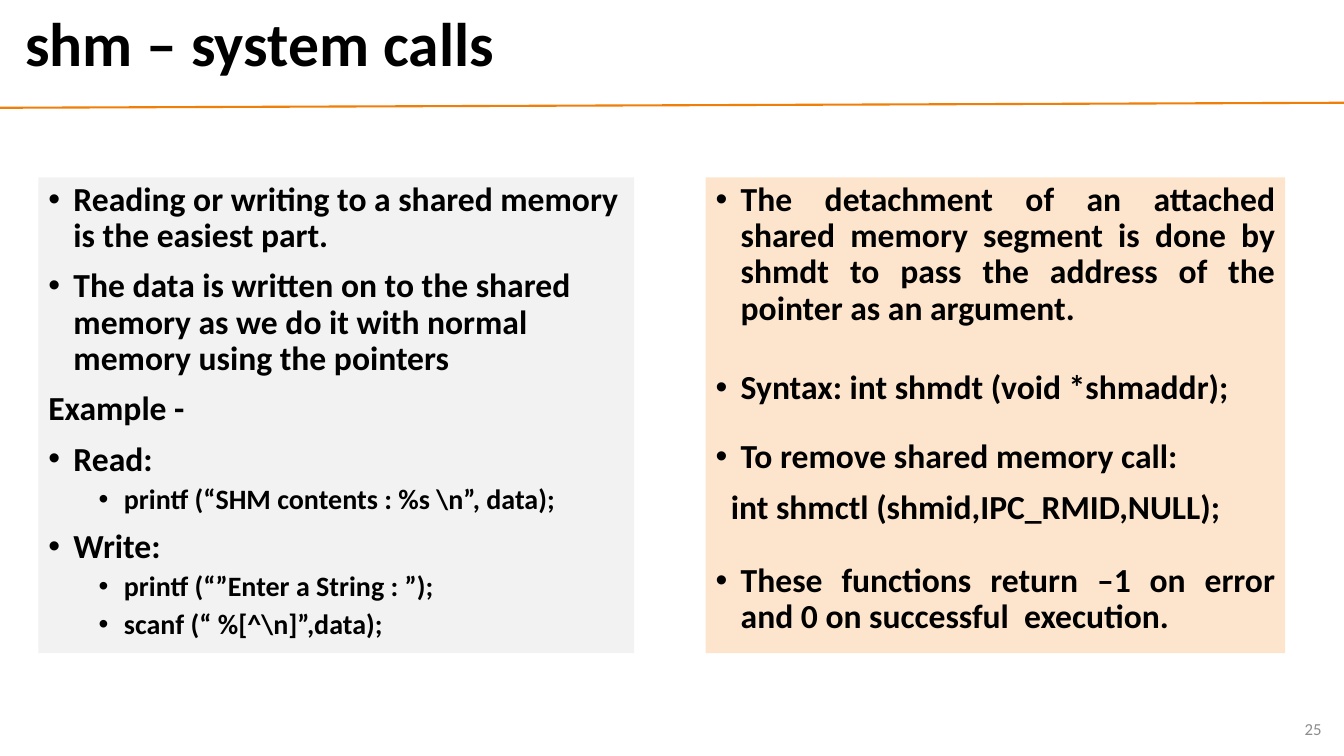
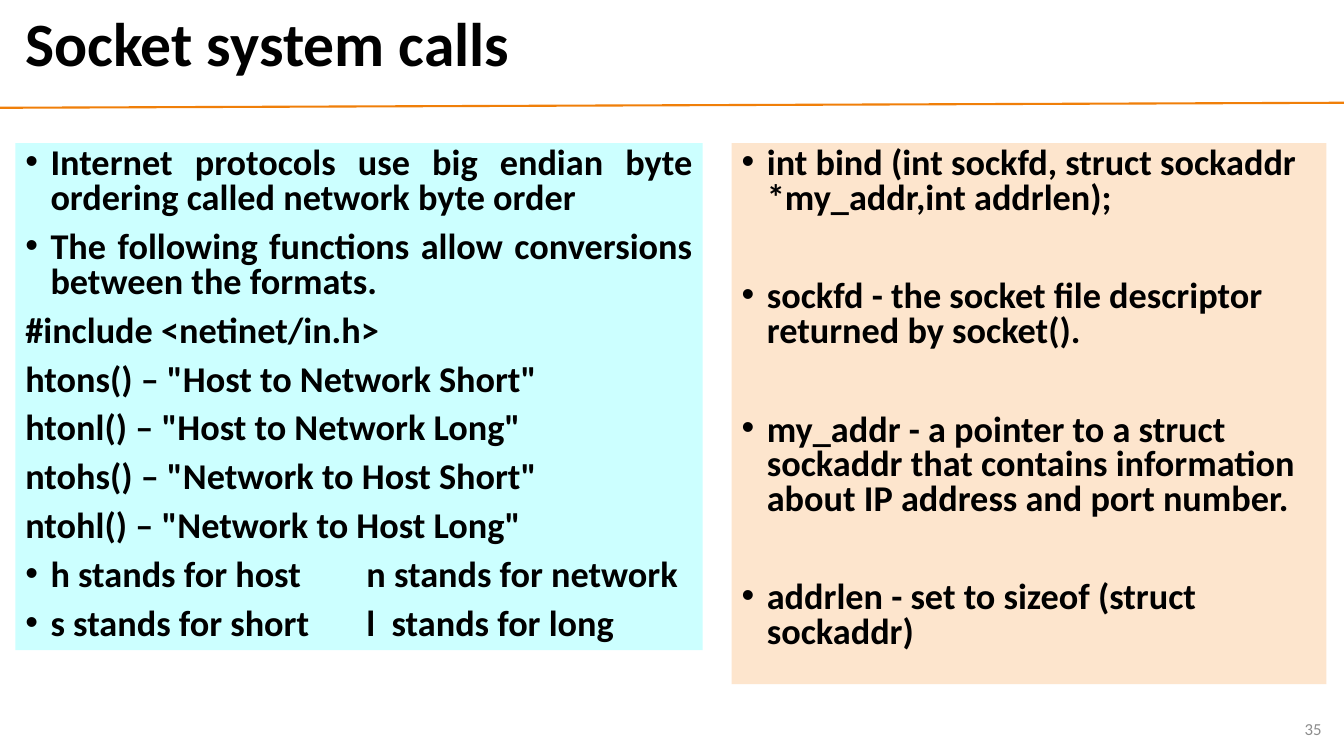
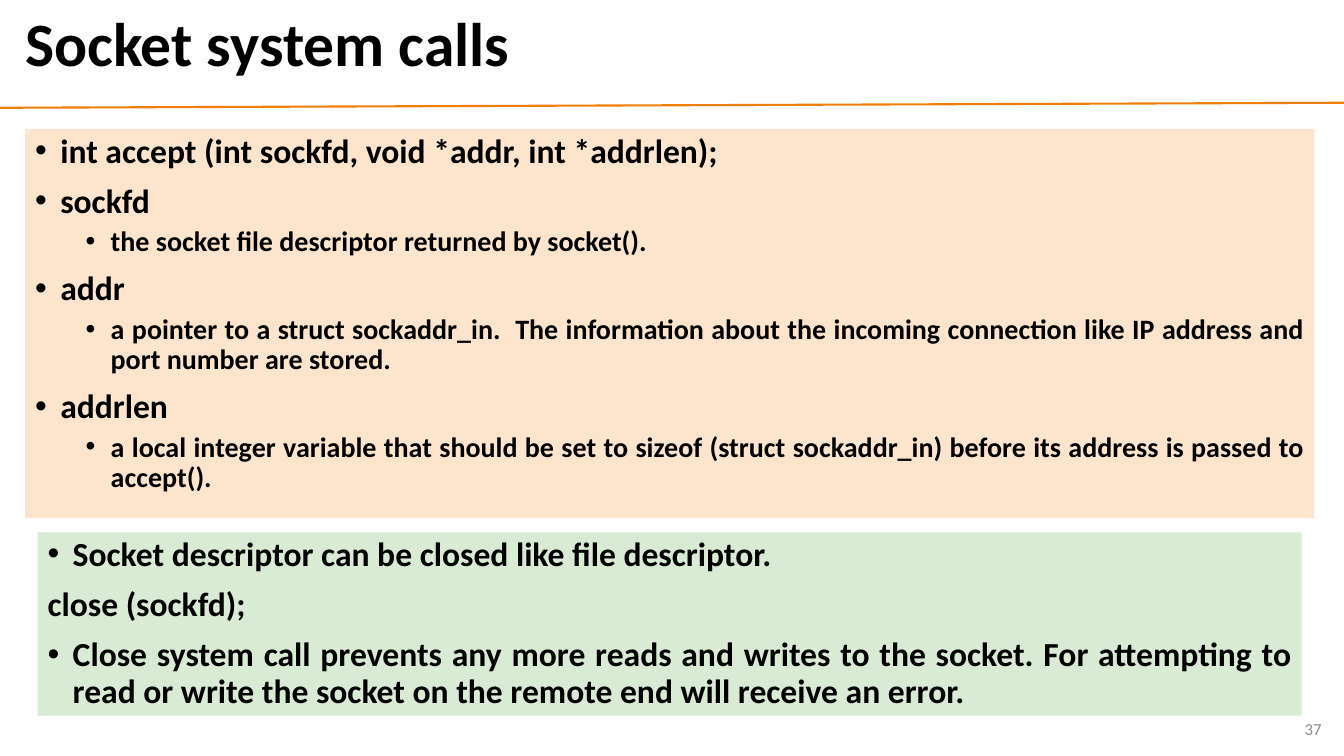
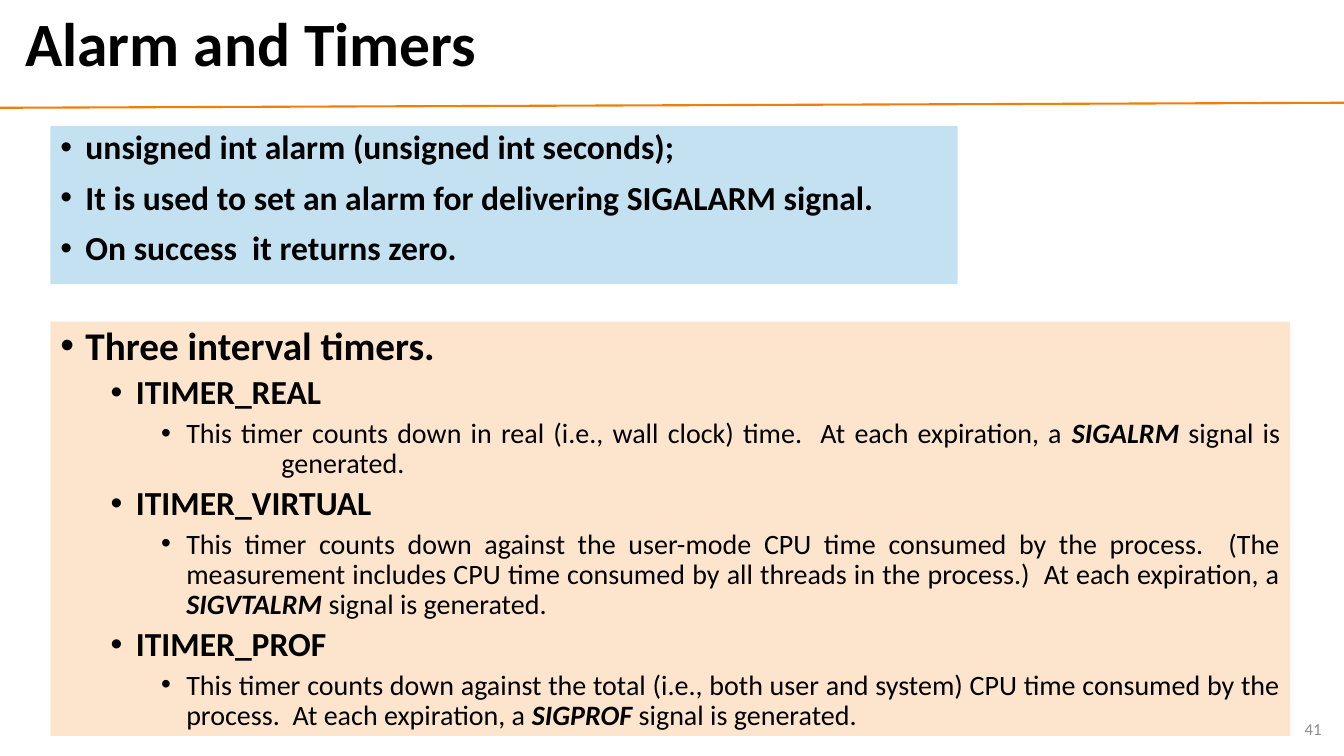
from dataclasses import dataclass

from lxml.etree import SubElement
from pptx import Presentation
from pptx.dml.color import RGBColor
from pptx.enum.shapes import MSO_CONNECTOR, MSO_SHAPE
from pptx.enum.text import MSO_ANCHOR, MSO_AUTO_SIZE, PP_ALIGN
from pptx.oxml.ns import qn
from pptx.util import Pt


@dataclass(frozen=True)
class Theme:
    font: str = "Calibri"
    text: str = "000000"
    rule: str = "F07F09"
    number: str = "8C8C8C"
    grey: str = "F2F2F2"
    peach: str = "FDE5CD"
    cyan: str = "CCFFFF"
    green: str = "D9EAD5"
    blue: str = "C4E1F2"
    title_size: float = 44
    number_size: float = 12
    body_sizes: tuple = (24, 20)
    socket_sizes: tuple = (25.9,)
    timer_sizes: tuple = (28, 24, 20)


theme = Theme()
LEFT, JUSTIFY = PP_ALIGN.LEFT, PP_ALIGN.JUSTIFY
PLAIN = None  # paragraph without a bullet

# Paragraphs are (bullet level, text, options); text between bars is emphasised
slides = [
    {"title": "shm – system calls", "number": "25", "panels": [
        {"box": (27.4, 126.7, 425.5, 339.8), "fill": theme.grey, "align": LEFT,
         "sizes": theme.body_sizes, "spacing": 0.9, "paragraphs": [
             (0, "Reading or writing to a shared memory is the easiest part."),
             (0, "The data is written on to the shared memory as we do it with "
                 "normal memory using the pointers"),
             (PLAIN, "Example -"),
             (0, "Read:"),
             (1, "printf (“SHM contents : %s \\n”, data);"),
             (0, "Write:"),
             (1, "printf (“”Enter a String : ”);"),
             (1, "scanf (“ %[^\\n]”,data);"),
         ]},
        {"box": (504, 126.7, 414, 339.8), "fill": theme.peach, "align": JUSTIFY,
         "sizes": theme.body_sizes, "spacing": 0.9, "paragraphs": [
             (0, "The detachment of an attached shared memory segment is done by "
                 "shmdt to pass the address of the pointer as an argument."),
             (0, "Syntax: int shmdt (void *shmaddr);", {"gap": 31}),
             (0, "To remove shared memory call:", {"gap": 23.3}),
             (PLAIN, "int shmctl (shmid,IPC_RMID,NULL);", {"margin": 11}),
             (0, "These functions return –1 on error and 0 on successful  execution.",
              {"gap": 26.6}),
         ]},
    ]},
    {"title": "Socket system calls", "number": "35", "panels": [
        {"box": (11, 102.2, 491, 362.2), "fill": theme.cyan, "align": JUSTIFY,
         "sizes": theme.socket_sizes, "spacing": 0.8, "paragraphs": [
             (0, "Internet protocols use big endian byte ordering called network byte order"),
             (0, "The following functions allow conversions between the formats."),
             (PLAIN, "#include <netinet/in.h>"),
             (PLAIN, 'htons() – "Host to Network Short"'),
             (PLAIN, 'htonl() – "Host to Network Long"'),
             (PLAIN, 'ntohs() – "Network to Host Short"'),
             (PLAIN, 'ntohl() – "Network to Host Long"'),
             (0, "h stands for host\tn stands for network", {"tab": 243.6}),
             (0, "s stands for short\tl  stands for long", {"tab": 243.6}),
         ]},
        {"box": (522.7, 102.2, 424.8, 386.6), "fill": theme.peach, "align": LEFT,
         "sizes": theme.socket_sizes, "spacing": 0.8, "paragraphs": [
             (0, "int bind (int sockfd, struct sockaddr *my_addr,int addrlen);"),
             (0, "sockfd - the socket file descriptor returned by socket().", {"gap": 45.3}),
             (0, "my_addr - a pointer to a struct sockaddr that contains information "
                 "about IP address and port number.", {"gap": 45.3}),
             (0, "addrlen - set to sizeof (struct sockaddr)", {"gap": 45.3}),
         ]},
    ]},
    {"title": "Socket system calls", "number": "37", "panels": [
        {"box": (18, 92.2, 920.9, 277.9), "fill": theme.peach, "align": JUSTIFY,
         "sizes": theme.body_sizes, "spacing": 0.9, "paragraphs": [
             (0, "int accept (int sockfd, void *addr, int *addrlen);"),
             (0, "sockfd"),
             (1, "the socket file descriptor returned by socket()."),
             (0, "addr"),
             (1, "a pointer to a struct sockaddr_in.  The information about the incoming "
                 "connection like IP address and port number are stored."),
             (0, "addrlen"),
             (1, "a local integer variable that should be set to sizeof (struct "
                 "sockaddr_in) before its address is passed to accept()."),
         ]},
        {"box": (26.9, 380.2, 902.9, 131), "fill": theme.green, "align": JUSTIFY,
         "sizes": theme.body_sizes, "spacing": 0.9, "paragraphs": [
             (0, "Socket descriptor can be closed like file descriptor."),
             (PLAIN, "close (sockfd);"),
             (0, "Close system call prevents any more reads and writes to the socket. For "
                 "attempting to read or write the socket on the remote end will receive "
                 "an error."),
         ]},
    ]},
    {"title": "Alarm and Timers", "number": "41", "panels": [
        {"box": (36, 90, 648, 113), "fill": theme.blue, "align": JUSTIFY,
         "sizes": theme.body_sizes, "spacing": 0.9, "paragraphs": [
             (0, "unsigned int alarm (unsigned int seconds);"),
             (0, "It is used to set an alarm for delivering SIGALARM signal."),
             (0, "On success  it returns zero."),
         ]},
        {"box": (36, 229.7, 885.6, 295.9), "fill": theme.peach, "align": JUSTIFY,
         "sizes": theme.timer_sizes, "spacing": 0.9, "paragraphs": [
             (0, "Three interval timers."),
             (1, "ITIMER_REAL"),
             (2, "This timer counts down in real (i.e., wall clock) time.  At each "
                 "expiration, a |SIGALRM| signal is\n\tgenerated.", {"tab": 158}),
             (1, "ITIMER_VIRTUAL"),
             (2, "This timer counts down against the user-mode CPU time consumed by the "
                 "process.  (The measurement includes CPU time consumed by all threads in "
                 "the process.)  At each expiration, a |SIGVTALRM| signal is generated."),
             (1, "ITIMER_PROF"),
             (2, "This timer counts down against the total (i.e., both user and system) "
                 "CPU time consumed by the process.  At each expiration, a |SIGPROF| "
                 "signal is generated."),
         ]},
    ]},
]


def add_text(paragraph, text, color, **font_values):
    """Add one formatted run, with a line break at each newline."""
    for index, line in enumerate(text.split("\n")):
        if index:
            paragraph.add_line_break()
        run = paragraph.add_run()
        run.text = line
        run.font.color.rgb = RGBColor.from_string(color)
        for name, value in {"name": theme.font, **font_values}.items():
            setattr(run.font, name, value)


def set_layout(paragraph, margin, bullet, tab):
    """Set the margin, hanging bullet and tab stop of a paragraph."""
    properties = paragraph._p.get_or_add_pPr()
    properties.set("marL", str(Pt(margin)))
    properties.set("indent", str(Pt(-18 if bullet else 0)))
    if bullet:
        SubElement(properties, qn("a:buFont"), typeface="Arial")
        SubElement(properties, qn("a:buChar"), char="•")
    else:
        SubElement(properties, qn("a:buNone"))
    if tab:
        tabs = SubElement(properties, qn("a:tabLst"))
        SubElement(tabs, qn("a:tab"), pos=str(Pt(tab)), algn="l")


presentation = Presentation()
presentation.slide_width, presentation.slide_height = Pt(960), Pt(540)
title_only = presentation.slide_layouts[5]

for content in slides:
    slide = presentation.slides.add_slide(title_only)

    # Title
    title = slide.shapes.title
    title.left, title.top, title.width, title.height = Pt(10.8), Pt(3.6), Pt(928), Pt(59.8)
    frame = title.text_frame
    frame.auto_size = MSO_AUTO_SIZE.NONE
    frame.vertical_anchor = MSO_ANCHOR.MIDDLE
    paragraph = frame.paragraphs[0]
    paragraph.alignment, paragraph.line_spacing = LEFT, 0.9
    add_text(paragraph, content["title"], theme.text, size=Pt(theme.title_size), bold=True)

    # Rule under the title
    rule = slide.shapes.add_connector(MSO_CONNECTOR.STRAIGHT, Pt(0), Pt(77), Pt(960), Pt(73.4))
    rule.line.color.rgb = RGBColor.from_string(theme.rule)
    rule.line.width = Pt(1.5)
    SubElement(rule._element.spPr, qn("a:effectLst"))

    # Slide number
    number = slide.shapes.add_textbox(Pt(735.1), Pt(506.2), Pt(216), Pt(28.8))
    frame = number.text_frame
    frame.word_wrap = True
    frame.vertical_anchor = MSO_ANCHOR.MIDDLE
    paragraph = frame.paragraphs[0]
    paragraph.alignment = PP_ALIGN.RIGHT
    add_text(paragraph, content["number"], theme.number, size=Pt(theme.number_size))

    # Text panels
    for panel in content["panels"]:
        shape = slide.shapes.add_shape(MSO_SHAPE.RECTANGLE, *map(Pt, panel["box"]))
        shape.shadow.inherit = False
        shape.fill.solid()
        shape.fill.fore_color.rgb = RGBColor.from_string(panel["fill"])
        shape.line.fill.background()
        frame = shape.text_frame
        frame.word_wrap = True
        frame.vertical_anchor = MSO_ANCHOR.TOP

        for index, (bullet_level, text, *extra) in enumerate(panel["paragraphs"]):
            options = extra[0] if extra else {}
            bullet = bullet_level is not PLAIN
            level = bullet_level or 0
            paragraph = frame.add_paragraph() if index else frame.paragraphs[0]
            margin = 18 + 36 * level if bullet else options.get("margin", 0)
            set_layout(paragraph, margin, bullet, options.get("tab"))
            gap = options.get("gap", 5 if level else 10) if index else 0
            for name, value in {"level": level, "alignment": panel["align"],
                                "line_spacing": panel["spacing"],
                                "space_before": Pt(gap)}.items():
                setattr(paragraph, name, value)
            for part, piece in enumerate(text.split("|")):
                emphasis = part % 2 == 1
                add_text(paragraph, piece, theme.text, size=Pt(panel["sizes"][level]),
                         bold=level < 2 or emphasis, italic=emphasis)

presentation.save("out.pptx")
